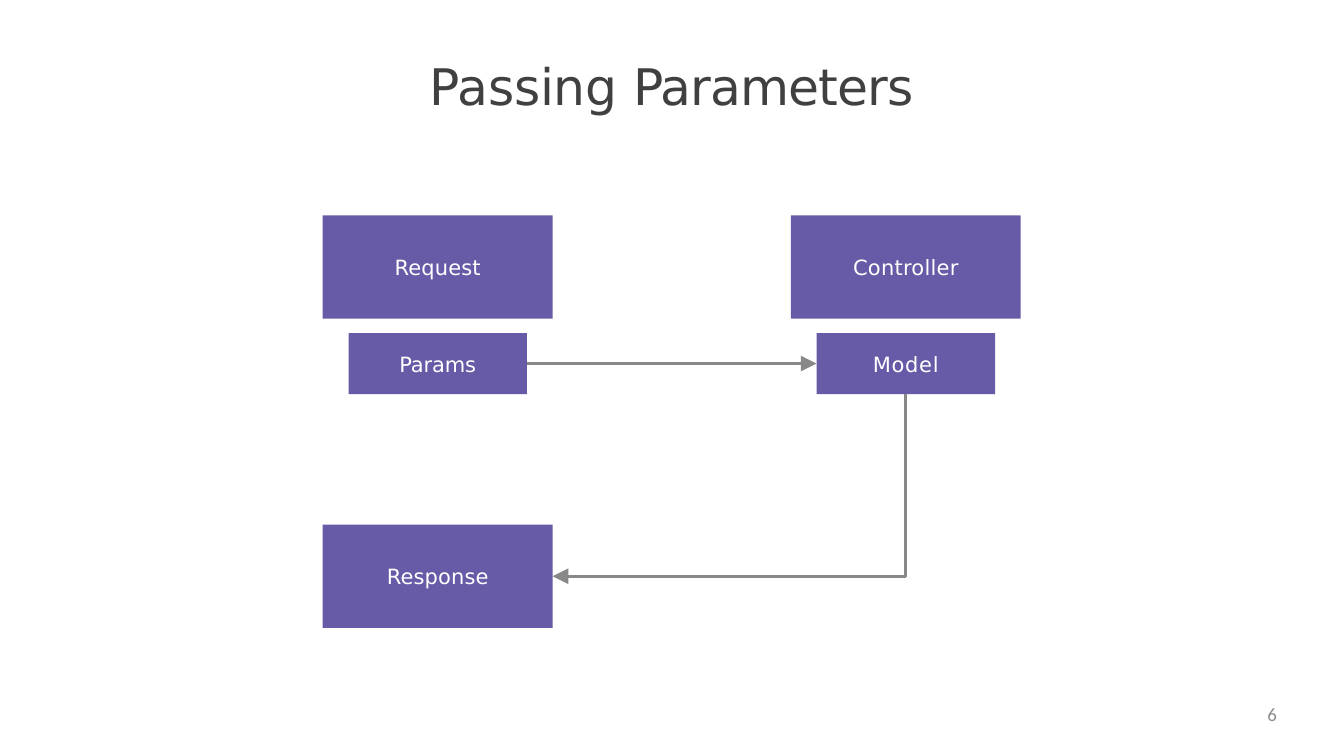
import dataclasses

import pptx
import pptx.dml.color
import pptx.enum.shapes
import pptx.enum.text
import pptx.oxml.ns
import pptx.util
from lxml import etree

Pt = pptx.util.Pt
ALIGN = pptx.enum.text.PP_ALIGN
ANCHOR = pptx.enum.text.MSO_ANCHOR
CONNECTOR = pptx.enum.shapes.MSO_CONNECTOR
BOTTOM, LEFT, RIGHT = 2, 1, 3


@dataclasses.dataclass(frozen=True)
class Theme:
    """Holds the colours, fonts and type sizes of the slide."""
    box: str = "675BA7"
    box_text: str = "FFFFFF"
    arrow: str = "888888"
    title: str = "404040"
    page: str = "8C8C8C"
    font: str = "DejaVu Sans"
    page_font: str = "Calibri"
    title_size: float = 48
    box_size: float = 20
    page_size: float = 18
    arrow_width: float = 3


THEME = Theme()


def rgb(color):
    """Return a colour object for a hex string."""
    return pptx.dml.color.RGBColor.from_string(color)


def write(holder, *runs, size, color, font=THEME.font, align=ALIGN.CENTER,
          anchor=ANCHOR.MIDDLE):
    """Write (text, letter spacing in points) runs into a shape."""
    frame = holder.text_frame
    frame.word_wrap = True
    frame.vertical_anchor = anchor
    frame.margin_left = frame.margin_right = Pt(0)
    frame.margin_top = frame.margin_bottom = Pt(0)
    paragraph = frame.paragraphs[0]
    paragraph.alignment = align
    for words, spacing in runs:
        run = paragraph.add_run()
        run.text = words
        run.font.name = font
        run.font.size = Pt(size)
        run.font.color.rgb = rgb(color)
        if spacing:
            run._r.get_or_add_rPr().set("spc", str(round(spacing * 100)))


def add_label(slide, left, top, width, height, *runs, **style):
    """Add a text box with formatted runs."""
    label = slide.shapes.add_textbox(Pt(left), Pt(top), Pt(width), Pt(height))
    write(label, *runs, **style)


def add_box(slide, center, top, width, height, name, spacing):
    """Add a filled box centred on its column and return it."""
    box = slide.shapes.add_shape(
        pptx.enum.shapes.MSO_SHAPE.RECTANGLE,
        Pt(center - width / 2), Pt(top), Pt(width), Pt(height))
    box.shadow.inherit = False
    box.fill.solid()
    box.fill.fore_color.rgb = rgb(THEME.box)
    box.line.fill.background()
    write(box, (name, spacing), size=THEME.box_size, color=THEME.box_text)
    return box


def add_arrow(slide, target, target_site, source, source_site, bent=False):
    """Connect two boxes with the arrowhead at the target."""
    kind = CONNECTOR.ELBOW if bent else CONNECTOR.STRAIGHT
    arrow = slide.shapes.add_connector(kind, 0, 0, 0, 0)
    arrow.begin_connect(target, target_site)
    arrow.end_connect(source, source_site)
    arrow.line.color.rgb = rgb(THEME.arrow)
    arrow.line.width = Pt(THEME.arrow_width)
    properties = arrow._element.spPr
    if bent:
        properties.find(pptx.oxml.ns.qn("a:prstGeom")).set("prst", "bentConnector2")
    line = properties.find(pptx.oxml.ns.qn("a:ln"))
    etree.SubElement(line, pptx.oxml.ns.qn("a:headEnd"),
                     type="triangle", w="lg", len="lg")
    etree.SubElement(properties, pptx.oxml.ns.qn("a:effectLst"))


def main():
    """Build the slide and save it."""
    deck = pptx.Presentation()
    deck.slide_width, deck.slide_height = Pt(1280), Pt(720)
    slide = deck.slides.add_slide(deck.slide_layouts[6])

    add_label(slide, 390, 51, 500, 60, ("Passing ", -0.3), ("Parameters", -0.8),
              size=THEME.title_size, color=THEME.title)

    left_column, right_column = 416.9, 862.7
    main_top, part_top, response_top = 205.2, 317.3, 499.6
    main_size, part_size = (219, 98.4), (170, 58)
    add_box(slide, left_column, main_top, *main_size, "Request", 0.1)
    add_box(slide, right_column, main_top, *main_size, "Controller", 0.2)
    response = add_box(slide, left_column, response_top, *main_size, "Response", 0.1)
    params = add_box(slide, left_column, part_top, *part_size, "Params", -0.2)
    model = add_box(slide, right_column, part_top, *part_size, "Model", 0.6)

    add_arrow(slide, model, LEFT, params, RIGHT)
    add_arrow(slide, response, RIGHT, model, BOTTOM, bent=True)

    add_label(slide, 921.6, 669.6, 294.5, 36, ("6", 0), size=THEME.page_size,
              color=THEME.page, font=THEME.page_font, align=ALIGN.RIGHT,
              anchor=ANCHOR.TOP)
    deck.save("out.pptx")


if __name__ == "__main__":
    main()
